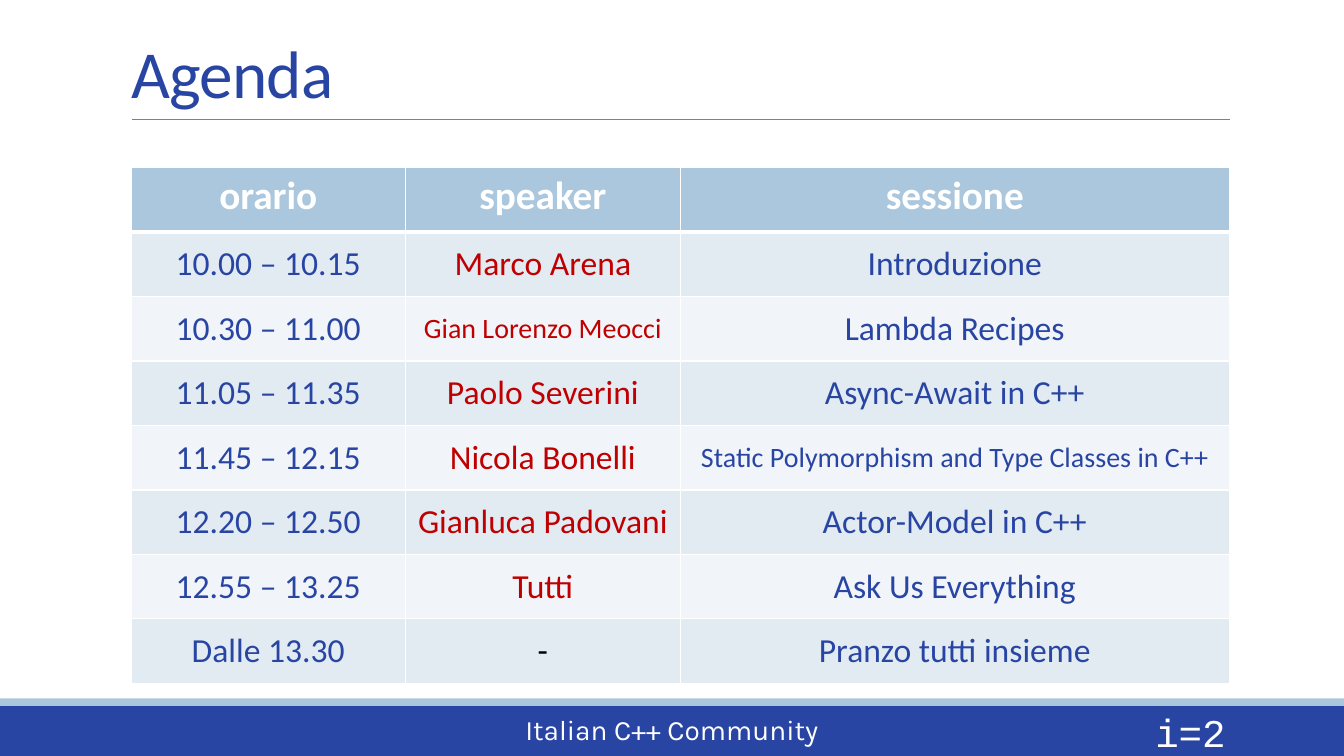
from lxml.etree import SubElement
from pptx import Presentation
from pptx.dml.color import RGBColor
from pptx.enum.shapes import MSO_CONNECTOR, MSO_SHAPE
from pptx.enum.text import MSO_ANCHOR, MSO_AUTO_SIZE, PP_ALIGN
from pptx.oxml.ns import qn
from pptx.util import Cm, Pt

HEX = {"blue": "2945A4", "sky": "ABC7DD", "grey": "808080", "red": "C00000",
       "white": "FFFFFF", "black": "000000", "odd": "E2EBF2", "even": "F1F5F9"}
RGB = {name: RGBColor.from_string(code) for name, code in HEX.items()}


def write(frame, text, size, color, align, anchor, font="Calibri", bold=False):
    frame.text = text
    frame.vertical_anchor = anchor
    par = frame.paragraphs[0]
    par.alignment = align
    run = par.runs[0]
    run.font.name = font
    run.font.size = Pt(size)
    run.font.bold = bold
    run.font.color.rgb = RGB[color]
    return run


def border(cell, side, width):
    props = cell._tc.get_or_add_tcPr()
    line = SubElement(props, qn(f"a:ln{side}"), w=str(Pt(width)))
    fill = SubElement(line, qn("a:solidFill"))
    SubElement(fill, qn("a:srgbClr"), val=HEX["white"])


deck = Presentation()
deck.slide_width, deck.slide_height = Cm(33.87), Cm(19.05)
slide = deck.slides.add_slide(deck.slide_layouts[5])
shapes = slide.shapes

# Footer bars
for top, high, color in [(17.78, 1.27, "blue"), (17.6, 0.18, "sky")]:
    bar = shapes.add_shape(MSO_SHAPE.RECTANGLE, 0, Cm(top), deck.slide_width, Cm(high))
    bar.shadow.inherit = False
    bar.fill.solid()
    bar.fill.fore_color.rgb = RGB[color]
    bar.line.fill.background()

# Title and the rule below it
title = shapes.title
title.left, title.top, title.width, title.height = Cm(3.05), Cm(0.03), Cm(27.94), Cm(2.92)
run = write(title.text_frame, "Agenda", 48, "blue", PP_ALIGN.LEFT, MSO_ANCHOR.BOTTOM)
run.font._element.set("spc", "-50")
title.text_frame.auto_size = MSO_AUTO_SIZE.NONE
title.text_frame.paragraphs[0].line_spacing = 0.85

rule = shapes.add_connector(MSO_CONNECTOR.STRAIGHT, Cm(3.33), Cm(3), Cm(31), Cm(3))
rule.line.color.rgb = RGB["grey"]
rule.line.width = Pt(0.5)
SubElement(rule._element.spPr, qn("a:effectLst"))

# Footer texts
for left, top, wide, high, text, size, font, align, anchor in [
    (0, 17.83, 33.87, 1.11, "Italian C++ Community", 20, "Karla", PP_ALIGN.CENTER, MSO_ANCHOR.TOP),
    (27.51, 17.93, 3.63, 1.02, "i=2", 28, "Courier New", PP_ALIGN.RIGHT, MSO_ANCHOR.MIDDLE),
]:
    box = shapes.add_textbox(Cm(left), Cm(top), Cm(wide), Cm(high))
    box.text_frame.word_wrap = True
    write(box.text_frame, text, size, "white", align, anchor, font)

# Agenda table
rows = [
    ("orario", "speaker", "sessione"),
    ("10.00 – 10.15", "Marco Arena", "Introduzione"),
    ("10.30 – 11.00", "Gian Lorenzo Meocci", "Lambda Recipes"),
    ("11.05 – 11.35", "Paolo Severini", "Async-Await in C++"),
    ("11.45 – 12.15", "Nicola Bonelli", "Static Polymorphism and Type Classes in C++"),
    ("12.20 – 12.50", "Gianluca Padovani", "Actor-Model in C++"),
    ("12.55 – 13.25", "Tutti", "Ask Us Everything"),
    ("Dalle 13.30", "-", "Pranzo tutti insieme"),
]
small = {"Gian Lorenzo Meocci", "Static Polymorphism and Type Classes in C++"}
table = shapes.add_table(len(rows), 3, Cm(3.3), Cm(4.22), Cm(27.68), Cm(13)).table
for col, wide in zip(table.columns, (6.92, 6.92, 13.84)):
    col.width = Cm(wide)

for r, row in enumerate(rows):
    table.rows[r].height = Cm(1.625)
    for c, text in enumerate(row):
        cell = table.cell(r, c)
        if r == 0:
            size, color, back, anchor = 28, "white", "sky", MSO_ANCHOR.TOP
        else:
            size = 20 if text in small else 24
            color = "black" if text == "-" else ("blue", "red", "blue")[c]
            back = "odd" if r % 2 else "even"
            anchor = MSO_ANCHOR.MIDDLE
        write(cell.text_frame, text, size, color, PP_ALIGN.CENTER, anchor, bold=r == 0)
        cell.vertical_anchor = anchor
        # Thick border between the header and the first row
        for side, thick in (("L", False), ("R", False), ("T", r == 1), ("B", r == 0)):
            border(cell, side, 3 if thick else 1)
        cell.fill.solid()
        cell.fill.fore_color.rgb = RGB[back]

deck.save("out.pptx")
